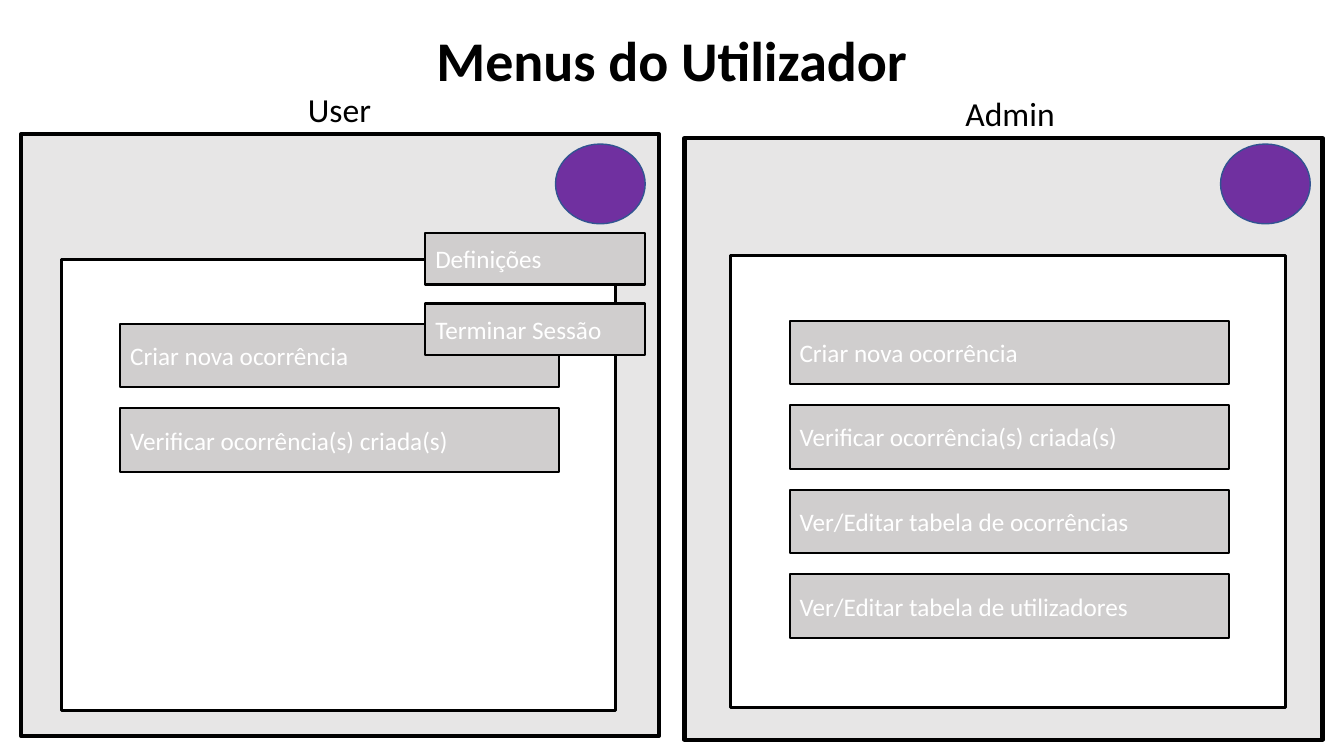
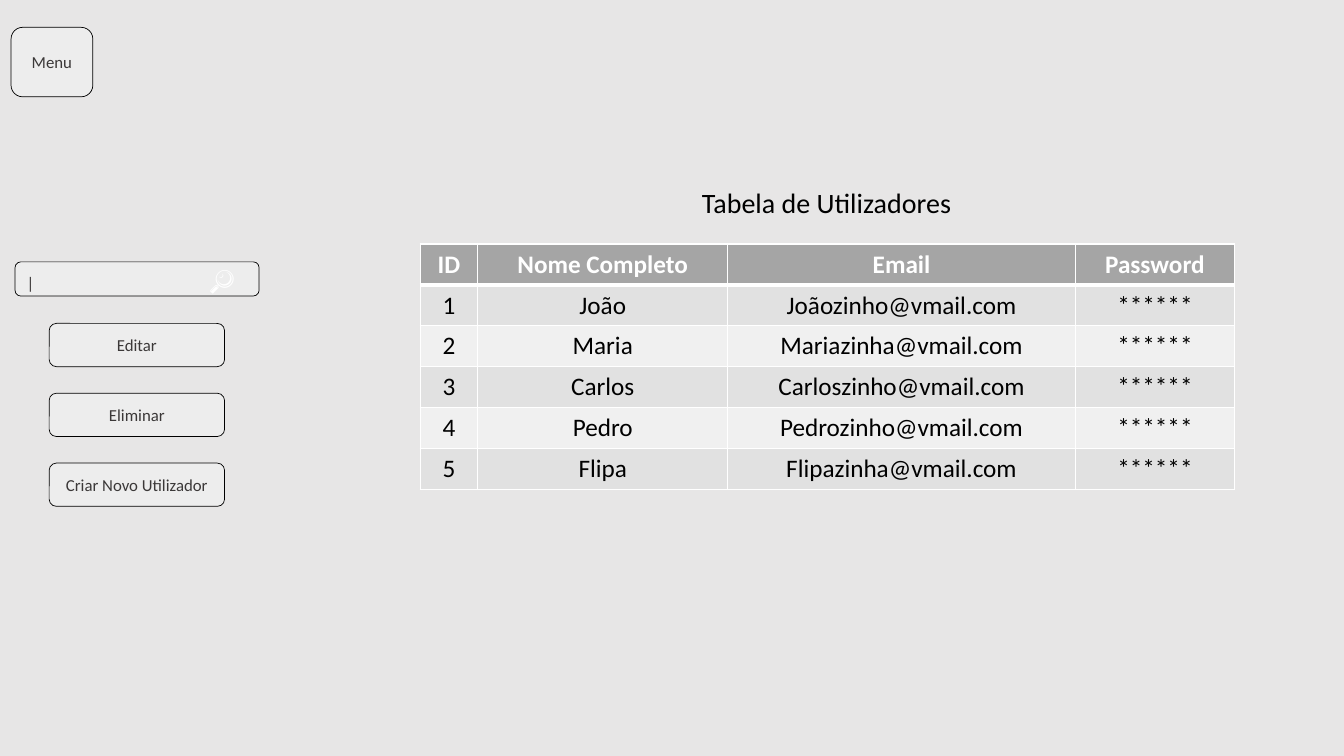
from lxml.etree import SubElement
from pptx import Presentation
from pptx.dml.color import RGBColor
from pptx.enum.shapes import MSO_SHAPE
from pptx.enum.text import MSO_ANCHOR, PP_ALIGN
from pptx.oxml.ns import qn
from pptx.util import Cm, Pt

BLACK = RGBColor(0x00, 0x00, 0x00)
WHITE = RGBColor(0xFF, 0xFF, 0xFF)
PAGE_GREY = RGBColor(0xE7, 0xE6, 0xE6)
OPTION_GREY = RGBColor(0xD0, 0xCE, 0xCE)
BUTTON_GREY = RGBColor(0xED, 0xED, 0xED)
BUTTON_TEXT = RGBColor(0x3B, 0x38, 0x38)
HEADER_GREY = RGBColor(0xA5, 0xA5, 0xA5)
ROW_GREYS = (RGBColor(0xE1, 0xE1, 0xE1), RGBColor(0xF0, 0xF0, 0xF0))
PURPLE = RGBColor(0x70, 0x30, 0xA0)
AVATAR_EDGE = RGBColor(0x32, 0x54, 0x91)


class Mockup:
    font = "Calibri"

    def __init__(self):
        self.deck = Presentation()
        self.deck.slide_width = Cm(33.87)
        self.deck.slide_height = Cm(19.05)
        self.slide = None

    def new_slide(self, background):
        self.slide = self.deck.slides.add_slide(self.deck.slide_layouts[6])
        fill = self.slide.background.fill
        fill.solid()
        fill.fore_color.rgb = background

    def set_text(self, frame, text, size, color, bold=False, align=PP_ALIGN.CENTER):
        paragraph = frame.paragraphs[0]
        paragraph.text = text
        paragraph.alignment = align
        font = paragraph.runs[0].font
        font.name = self.font
        font.size = Pt(size)
        font.bold = bold
        font.color.rgb = color
        return paragraph

    def label(self, left, top, width, height, text, size, bold=False, wrap=True):
        box = self.slide.shapes.add_textbox(Cm(left), Cm(top), Cm(width), Cm(height))
        box.text_frame.word_wrap = wrap
        self.set_text(box.text_frame, text, size, BLACK, bold)

    def shape(self, kind, left, top, width, height, fill, line, weight):
        item = self.slide.shapes.add_shape(kind, Cm(left), Cm(top), Cm(width), Cm(height))
        item.shadow.inherit = False
        item.fill.solid()
        item.fill.fore_color.rgb = fill
        item.line.color.rgb = line
        item.line.width = Pt(weight)
        item.text_frame.vertical_anchor = MSO_ANCHOR.MIDDLE
        return item

    def option(self, left, top, width, height, text):
        item = self.shape(MSO_SHAPE.RECTANGLE, left, top, width, height,
                          OPTION_GREY, BLACK, 1.5)
        self.set_text(item.text_frame, text, 18, WHITE, align=PP_ALIGN.LEFT)

    def menu(self, frame, window, title, title_left, avatar_left, options):
        left, top = frame
        self.shape(MSO_SHAPE.RECTANGLE, left, top, 16.08, 15.16, PAGE_GREY, BLACK, 3)
        self.label(title_left, top - 1.27, 3.25, 1.27, title, 24)
        self.shape(MSO_SHAPE.OVAL, avatar_left, 3.63, 2.26, 2.01, PURPLE, AVATAR_EDGE, 1)
        left, top = window
        self.shape(MSO_SHAPE.RECTANGLE, left, top, 13.97, 11.38, WHITE, BLACK, 2.25)
        for i, text in enumerate(options):
            self.option(left + 1.48, top + 1.63 + 2.13 * i, 11.07, 1.6, text)

    def button(self, left, top, width, height, text, align=PP_ALIGN.CENTER):
        item = self.shape(MSO_SHAPE.ROUNDED_RECTANGLE, left, top, width, height,
                          BUTTON_GREY, BLACK, 0.5)
        return self.set_text(item.text_frame, text, 12, BUTTON_TEXT, align=align)

    def search(self, left, top, width, height, icon_offset):
        entry = self.button(left, top, width, height, "|\t", PP_ALIGN.LEFT)
        stops = SubElement(entry._p.get_or_add_pPr(), qn("a:tabLst"))
        SubElement(stops, qn("a:tab"), pos=str(Cm(icon_offset)), algn="l")
        icon = entry.add_run()
        icon.text = "🔎"
        icon.font.size = Pt(18)
        icon.font.color.rgb = WHITE

    def border(self, cell, side, weight):
        line = SubElement(cell._tc.get_or_add_tcPr(), qn(f"a:ln{side}"), w=str(Pt(weight)))
        fill = SubElement(line, qn("a:solidFill"))
        SubElement(fill, qn("a:srgbClr"), val=str(WHITE))

    def table(self, left, top, widths, row_height, rows):
        grid = self.slide.shapes.add_table(
            len(rows), len(widths), Cm(left), Cm(top),
            Cm(sum(widths)), Cm(row_height * len(rows))).table
        for column, width in zip(grid.columns, widths):
            column.width = Cm(width)
        for r, values in enumerate(rows):
            grid.rows[r].height = Cm(row_height)
            header = r == 0
            for c, value in enumerate(values):
                cell = grid.cell(r, c)
                weights = {"L": 1, "R": 1, "T": 3 if r == 1 else 1, "B": 3 if header else 1}
                for side, weight in weights.items():
                    self.border(cell, side, weight)
                cell.fill.solid()
                cell.fill.fore_color.rgb = HEADER_GREY if header else ROW_GREYS[(r - 1) % 2]
                cell.vertical_anchor = MSO_ANCHOR.MIDDLE
                self.set_text(cell.text_frame, value, 18, WHITE if header else BLACK, header)


def user_menus(mockup):
    mockup.new_slide(WHITE)
    mockup.label(10.67, 0.53, 12.52, 1.96, "Menus do Utilizador", 40, bold=True, wrap=False)
    shared = ["Criar nova ocorrência", "Verificar ocorrência(s) criada(s)"]
    mockup.menu((0.53, 3.38), (1.55, 6.53), "User", 6.93, 14, shared)
    mockup.menu((17.25, 3.48), (18.42, 6.45), "Admin", 23.83, 30.76,
                shared + ["Ver/Editar tabela de ocorrências",
                          "Ver/Editar tabela de utilizadores"])
    for i, text in enumerate(["Definições", "Terminar Sessão"]):
        mockup.option(10.72, 5.87 + 1.78 * i, 5.54, 1.3, text)


def user_table(mockup):
    mockup.new_slide(PAGE_GREY)
    mockup.button(0.28, 0.69, 2.06, 1.75, "Menu")
    mockup.search(0.38, 6.6, 6.15, 0.86, 4.6)
    for i, text in enumerate(["Editar", "Eliminar", "Criar Novo Utilizador"]):
        mockup.button(1.24, 8.15 + 1.76 * i, 4.42, 1.09, text)
    mockup.label(17.4, 4.55, 6.86, 1.12, "Tabela de Utilizadores", 20, wrap=False)
    people = [("João", "Joãozinho"), ("Maria", "Mariazinha"), ("Carlos", "Carloszinho"),
              ("Pedro", "Pedrozinho"), ("Flipa", "Flipazinha")]
    rows = [("ID", "Nome Completo", "Email", "Password")]
    rows += [(str(i), name, f"{account}@vmail.com", "******")
             for i, (name, account) in enumerate(people, 1)]
    mockup.table(10.59, 6.15, (1.45, 6.3, 8.76, 4.01), 1.03, rows)


def main():
    mockup = Mockup()
    user_menus(mockup)
    user_table(mockup)
    mockup.deck.save("out.pptx")


if __name__ == "__main__":
    main()
